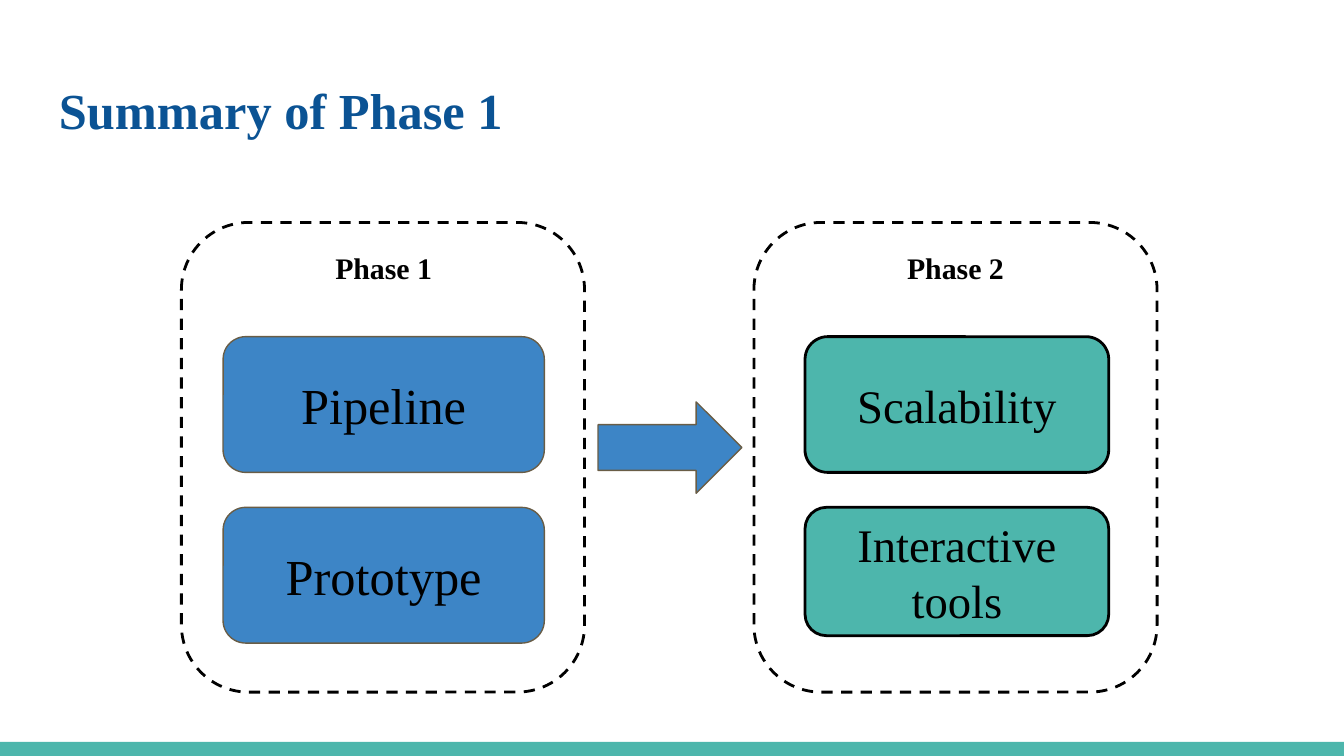
from dataclasses import dataclass

from lxml import etree
from pptx import Presentation
from pptx import util as u
from pptx.dml.color import RGBColor
from pptx.enum import dml, shapes, text

SCALE = 4572  # EMU per px, 200 px to the inch


@dataclass(frozen=True)
class Theme:
    font: str = "Times New Roman"
    navy: str = "0B5394"
    blue: str = "3D85C6"
    teal: str = "4DB6AC"
    brown: str = "695D46"
    black: str = "000000"
    title: int = 27
    label: int = 16
    thin: float = 0.75
    thick: float = 1.5


@dataclass(frozen=True)
class Box:
    left: int
    top: int
    width: int
    height: int

    def emu(self) -> list[int]:
        return [n * SCALE for n in (self.left, self.top, self.width, self.height)]


@dataclass(frozen=True)
class Style:
    fill: str | None = None
    line: str | None = None
    width: float = 0
    dash: bool = False


@dataclass(frozen=True)
class Phase:
    name: str
    frame: Box
    label: Box
    style: Style
    size: int
    steps: tuple[tuple[str, Box], ...]


THEME = Theme()
BLUE = Style(THEME.blue, THEME.brown, THEME.thin)
TEAL = Style(THEME.teal, THEME.black, THEME.thick)
FRAME = Style(None, THEME.black, THEME.thick, True)
ROUND = shapes.MSO_SHAPE.ROUNDED_RECTANGLE

PHASES = (
    Phase("Phase 1", Box(270, 331, 600, 699), Box(411, 352, 320, 76), BLUE, 27, (
        ("Pipeline", Box(332, 501, 478, 202)),
        ("Prototype", Box(332, 755, 478, 202)),
    )),
    Phase("Phase 2", Box(1122, 331, 600, 699), Box(1262, 352, 320, 76), TEAL, 25, (
        ("Scalability", Box(1198, 501, 452, 202)),
        ("Interactive tools", Box(1198, 755, 452, 191)),
    )),
)


def draw(slide, kind, box: Box, style: Style):
    shape = slide.shapes.add_shape(kind, *box.emu())
    shape.shadow.inherit = False
    if style.fill:
        shape.fill.solid()
        shape.fill.fore_color.rgb = RGBColor.from_string(style.fill)
    else:
        shape.fill.background()
    if style.line:
        shape.line.color.rgb = RGBColor.from_string(style.line)
        shape.line.width = u.Pt(style.width)
    else:
        shape.line.fill.background()
    if style.dash:
        shape.line.dash_style = dml.MSO_LINE.DASH
    return shape


def write(shape, words: str, size: int, color: str = THEME.black, bold: bool = False,
          align=text.PP_ALIGN.CENTER, anchor=text.MSO_ANCHOR.MIDDLE) -> None:
    frame = shape.text_frame
    frame.word_wrap = True
    frame.vertical_anchor = anchor
    frame.margin_left = frame.margin_right = u.Inches(0.1)
    frame.margin_top = frame.margin_bottom = u.Inches(0.1)
    para = frame.paragraphs[0]
    para.alignment = align
    run = para.add_run()
    run.text = words
    run.font.name = THEME.font
    run.font.size = u.Pt(size)
    run.font.bold = bold
    run.font.color.rgb = RGBColor.from_string(color)


def note(slide, box: Box, words: str, size: int, color: str, align) -> None:
    """Add a bold line of text without a box around it."""
    area = slide.shapes.add_textbox(*box.emu())
    write(area, words, size, color, True, align, text.MSO_ANCHOR.TOP)


def stage(slide, phase: Phase) -> None:
    """Draw a dashed frame with its label and steps."""
    draw(slide, ROUND, phase.frame, FRAME)
    note(slide, phase.label, phase.name, THEME.label, THEME.black, text.PP_ALIGN.CENTER)
    for words, box in phase.steps:
        write(draw(slide, ROUND, box, phase.style), words, phase.size)


def main() -> None:
    deck = Presentation()
    deck.slide_width, deck.slide_height = 2000 * SCALE, 1125 * SCALE
    slide = deck.slides.add_slide(deck.slide_layouts[6])
    draw(slide, shapes.MSO_SHAPE.RECTANGLE, Box(0, 1104, 2000, 21), Style(THEME.teal))
    note(slide, Box(68, 98, 1864, 154), "Summary of Phase 1", THEME.title, THEME.navy,
         text.PP_ALIGN.LEFT)
    for phase in PHASES:
        stage(slide, phase)
    draw(slide, shapes.MSO_SHAPE.RIGHT_ARROW, Box(890, 598, 214, 136), BLUE)
    deck.save("out.pptx")


if __name__ == "__main__":
    main()
